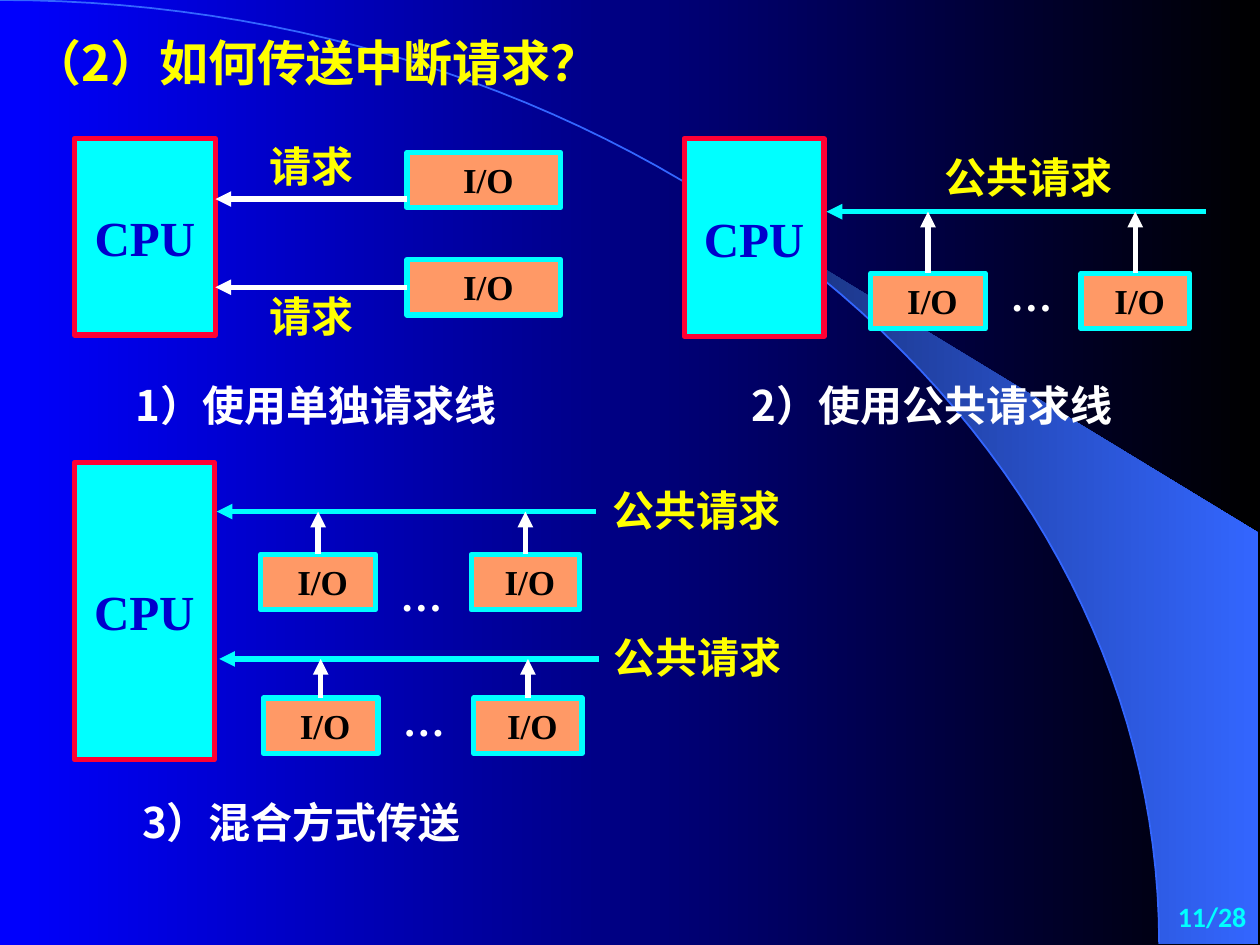
import math

import pptx
import pptx.dml.color
import pptx.enum.shapes
import pptx.enum.text
import pptx.oxml
import pptx.oxml.ns
import pptx.util

Inches = pptx.util.Inches
Pt = pptx.util.Pt
ALIGN = pptx.enum.text.PP_ALIGN
ANCHOR = pptx.enum.text.MSO_ANCHOR

WHITE, YELLOW, CYAN, BLUE = "FFFFFF", "FFFF00", "00FFFF", "3366FF"
SANS, SERIF = "Noto Sans CJK SC", "Times New Roman"
ARC_WIDTH, ARC_HEIGHT = 9.2, 7.49
BUS_LENGTH = 3.01


def color(value):
    return pptx.dml.color.RGBColor.from_string(value)


def element(name, attributes=""):
    return pptx.oxml.parse_xml(
        f'<a:{name} {pptx.oxml.ns.nsdecls("a")} {attributes}/>')


def arc_points(start_x, steps=60):
    start = math.asin(start_x / ARC_WIDTH)
    angles = [start + (math.pi / 2 - start) * i / steps for i in range(steps + 1)]
    return [(ARC_WIDTH * math.sin(a), ARC_HEIGHT * (1 - math.cos(a))) for a in angles]


class Diagram:
    """Draws the interrupt request diagrams on one slide."""

    def __init__(self, page):
        self.page = page
        self.shapes = page.shapes

    def gradient(self, fill, first, last):
        fill.gradient()
        fill.gradient_angle = 0
        for stop, value, position in zip(fill.gradient_stops, (first, last), (0, 1)):
            stop.color.rgb = color(value)
            stop.position = position

    def outline(self, points, closed):
        corners = [(Inches(x), Inches(y)) for x, y in points]
        builder = self.shapes.build_freeform(*corners[0], scale=1.0)
        builder.add_line_segments(corners[1:], close=closed)
        shape = builder.convert_to_shape()
        shape.shadow.inherit = False
        return shape

    def backdrop(self):
        self.gradient(self.page.background.fill, "0000FF", "000000")
        wedge = self.outline(arc_points(5.89) + [(9.99, 7.49), (9.99, 4.23)], True)
        self.gradient(wedge.fill, "182F76", BLUE)
        wedge.line.fill.background()
        arc = self.outline(arc_points(0), False)
        arc.fill.background()
        arc.line.color.rgb = color(BLUE)
        arc.line.width = Pt(1)

    def span(self, frame, text, size, value, font, align):
        para = frame.paragraphs[0]
        para.alignment = align
        span = para.add_run()
        span.text = text
        span.font.size = Pt(size)
        span.font.bold = True
        span.font.color.rgb = color(value)
        span.font.name = font
        span._r.get_or_add_rPr().append(element("ea", f'typeface="{SANS}"'))

    def text(self, left, top, width, text, size=24, value=WHITE, font=SANS,
             align=ALIGN.LEFT, height=0.5, wrap=True):
        box = self.shapes.add_textbox(
            Inches(left), Inches(top), Inches(width), Inches(height))
        box.text_frame.word_wrap = wrap
        self.span(box.text_frame, text, size, value, font, align)

    def block(self, left, top, width, height, fill, line):
        box = self.shapes.add_shape(
            pptx.enum.shapes.MSO_SHAPE.RECTANGLE,
            Inches(left), Inches(top), Inches(width), Inches(height))
        box.shadow.inherit = False
        box.fill.solid()
        box.fill.fore_color.rgb = color(fill)
        box.line.color.rgb = color(line)
        box.line.width = Pt(3)
        return box

    def cpu(self, left, top, width, height):
        box = self.block(left, top, width, height, CYAN, "FF0033")
        box.text_frame.word_wrap = False
        box.text_frame.vertical_anchor = ANCHOR.MIDDLE
        self.span(box.text_frame, "CPU", 28, "0000CC", SERIF, ALIGN.CENTER)

    def device(self, left, top, width):
        box = self.block(left, top, width, 0.44, "FF9966", CYAN)
        frame = box.text_frame
        frame.word_wrap = True
        frame.vertical_anchor = ANCHOR.TOP
        frame.margin_left = Inches(0.17)
        self.span(frame, "I/O", 20, "000000", SERIF, ALIGN.CENTER)
        return box

    def arrow(self, tip, tail, value=WHITE, device=None, site=0):
        arrow = self.shapes.add_connector(
            pptx.enum.shapes.MSO_CONNECTOR.STRAIGHT,
            Inches(tip[0]), Inches(tip[1]), Inches(tail[0]), Inches(tail[1]))
        arrow.line.color.rgb = color(value)
        arrow.line.width = Pt(3)
        if device is not None:
            arrow.end_connect(device, site)
        properties = arrow.element.spPr
        line = properties.find(pptx.oxml.ns.qn("a:ln"))
        line.append(element("headEnd", 'type="triangle"'))
        properties.append(element("effectLst"))

    def bus(self, left, top, device_top, dots_top, label_left, label_top):
        self.arrow((left, top), (left + BUS_LENGTH, top), CYAN)
        self.text(label_left, label_top, 2.01, "公共请求", value=YELLOW, font=SERIF)
        for offset, width in ((0.35, 0.91), (2.02, 0.86)):
            device = self.device(left + offset, device_top, width)
            center = left + offset + width / 2
            self.arrow((center, top), (center, device_top), device=device)
        self.text(left + 1.36, dots_top, 0.53, "…", font=SERIF, wrap=False)


def main():
    deck = pptx.Presentation()
    deck.slide_width, deck.slide_height = Inches(10), Inches(7.5)
    diagram = Diagram(deck.slides.add_slide(deck.slide_layouts[6]))
    diagram.backdrop()
    diagram.text(8.94, 7.09, 1.05, "11/28", 16, CYAN, "Calibri", ALIGN.RIGHT, 0.39)
    diagram.text(0.16, 0.21, 6.33, "（2）如何传送中断请求？", 28, YELLOW, height=0.57)

    for caption in ((0.98, 2.96, 3.22, "1）使用单独请求线"),
                    (5.87, 2.96, 3.23, "2）使用公共请求线"),
                    (1.03, 6.27, 3.15, "3）混合方式传送")):
        diagram.text(*caption)

    for cpu in ((0.59, 1.1, 1.12, 1.56), (5.43, 1.1, 1.11, 1.57),
                (0.59, 3.67, 1.11, 2.36)):
        diagram.cpu(*cpu)

    diagram.device(3.23, 1.21, 1.22)
    lower = diagram.device(3.23, 2.06, 1.22)
    diagram.arrow((1.71, 1.58), (3.23, 1.58))
    diagram.arrow((1.71, 2.28), (3.23, 2.28), device=lower, site=1)
    for label_top in (1.07, 2.26):
        diagram.text(1.85, label_top, 1.25, "请求", value=YELLOW, font=SERIF,
                     align=ALIGN.CENTER)

    for bus in ((6.56, 1.68, 2.17, 2.09, 7.4, 1.15),
                (1.72, 4.06, 4.4, 4.47, 4.76, 3.8),
                (1.74, 5.23, 5.54, 5.46, 4.77, 4.96)):
        diagram.bus(*bus)
    deck.save("out.pptx")


if __name__ == "__main__":
    main()
